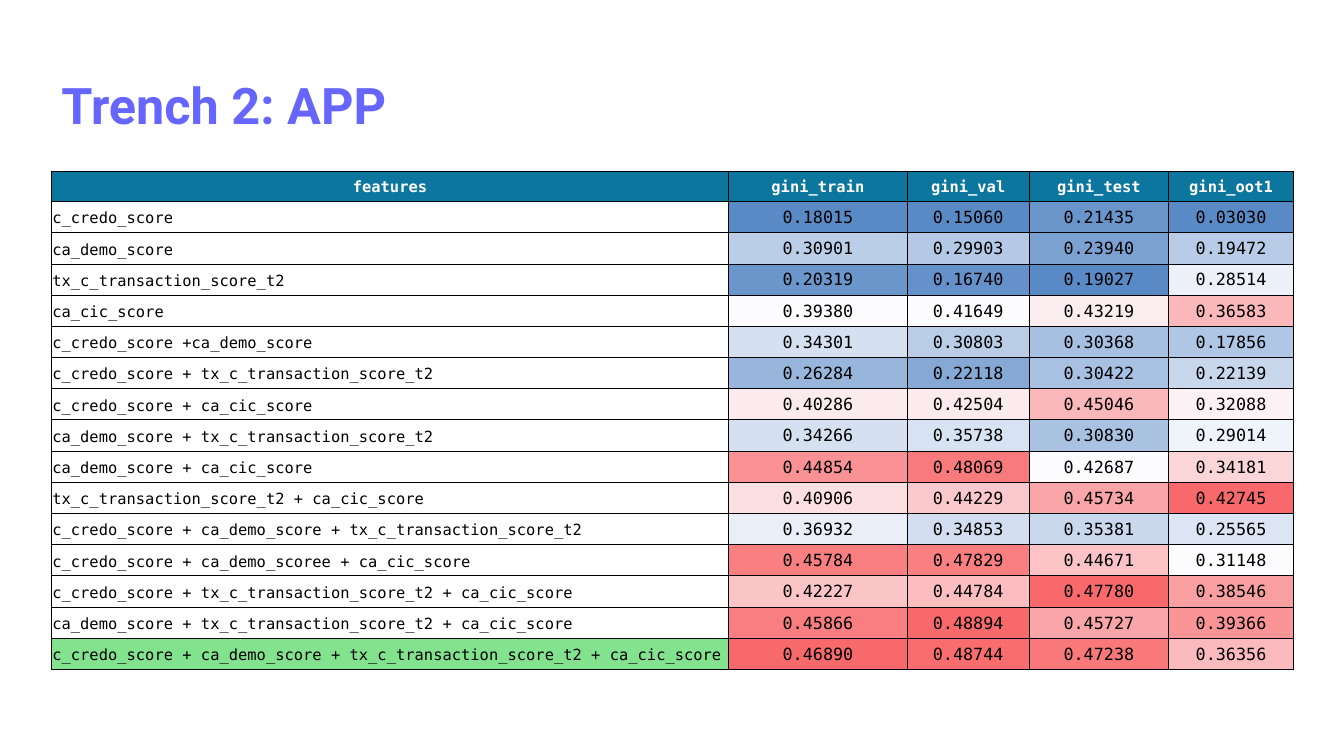
import dataclasses
import typing

import lxml.etree
import pptx
import pptx.dml.color
import pptx.enum.text
import pptx.oxml.ns
import pptx.util

Pt = pptx.util.Pt
ALIGN = pptx.enum.text.PP_ALIGN
ANCHOR = pptx.enum.text.MSO_ANCHOR
MONO = "DejaVu Sans Mono"
LOW, MIDDLE, HIGH = "5A8AC6", "FCFCFF", "F8696B"
HEADER_FILL, BEST_FILL = "0C769E", "83E28E"
WHITE, BLACK, VIOLET = "FFFFFF", "000000", "6666FF"
COLUMN_WIDTHS = (483.8, 127.6, 87.0, 99.8, 89.0)
HEADER_HEIGHT, ROW_HEIGHT = 21.5, 22.3
HEADERS = ("features", "gini_train", "gini_val", "gini_test", "gini_oot1")


@dataclasses.dataclass(frozen=True)
class Model:
    features: str
    ginis: tuple[float, ...]


@dataclasses.dataclass(frozen=True)
class CellStyle:
    size: float
    color: str = BLACK
    bold: bool = False
    align: ALIGN = ALIGN.CENTER
    fill: typing.Optional[str] = None


MODELS = (
    Model("c_credo_score", (0.18015, 0.15060, 0.21435, 0.03030)),
    Model("ca_demo_score", (0.30901, 0.29903, 0.23940, 0.19472)),
    Model("tx_c_transaction_score_t2", (0.20319, 0.16740, 0.19027, 0.28514)),
    Model("ca_cic_score", (0.39380, 0.41649, 0.43219, 0.36583)),
    Model("c_credo_score +ca_demo_score", (0.34301, 0.30803, 0.30368, 0.17856)),
    Model("c_credo_score + tx_c_transaction_score_t2",
          (0.26284, 0.22118, 0.30422, 0.22139)),
    Model("c_credo_score + ca_cic_score", (0.40286, 0.42504, 0.45046, 0.32088)),
    Model("ca_demo_score + tx_c_transaction_score_t2",
          (0.34266, 0.35738, 0.30830, 0.29014)),
    Model("ca_demo_score + ca_cic_score", (0.44854, 0.48069, 0.42687, 0.34181)),
    Model("tx_c_transaction_score_t2 + ca_cic_score",
          (0.40906, 0.44229, 0.45734, 0.42745)),
    Model("c_credo_score + ca_demo_score + tx_c_transaction_score_t2",
          (0.36932, 0.34853, 0.35381, 0.25565)),
    Model("c_credo_score + ca_demo_scoree + ca_cic_score",
          (0.45784, 0.47829, 0.44671, 0.31148)),
    Model("c_credo_score + tx_c_transaction_score_t2 + ca_cic_score",
          (0.42227, 0.44784, 0.47780, 0.38546)),
    Model("ca_demo_score + tx_c_transaction_score_t2 + ca_cic_score",
          (0.45866, 0.48894, 0.45727, 0.39366)),
    Model("c_credo_score + ca_demo_score + tx_c_transaction_score_t2 + ca_cic_score",
          (0.46890, 0.48744, 0.47238, 0.36356)),
)


def rgb(color: str) -> pptx.dml.color.RGBColor:
    return pptx.dml.color.RGBColor.from_string(color)


def blend(start: str, end: str, share: float) -> str:
    pairs = zip(bytes.fromhex(start), bytes.fromhex(end))
    return "".join(f"{a + int((b - a) * share):02X}" for a, b in pairs)


def heat(value: float, column: typing.Sequence[float]) -> str:
    ranked = sorted(column)
    low, middle, high = ranked[0], ranked[len(ranked) // 2], ranked[-1]
    if value <= middle:
        return blend(LOW, MIDDLE, (value - low) / (middle - low))
    return blend(MIDDLE, HIGH, (value - middle) / (high - middle))


def format_run(r, font: str, size: float, color: str, bold: bool) -> None:
    r.font.name = font
    r.font.size = Pt(size)
    r.font.bold = bold
    r.font.color.rgb = rgb(color)


def add_borders(cell) -> None:
    qn = pptx.oxml.ns.qn
    tc_pr = cell._tc.get_or_add_tcPr()
    for side in ("a:lnL", "a:lnR", "a:lnT", "a:lnB"):
        ln = lxml.etree.SubElement(tc_pr, qn(side), w=str(Pt(0.5)))
        fill = lxml.etree.SubElement(ln, qn("a:solidFill"))
        lxml.etree.SubElement(fill, qn("a:srgbClr"), val=BLACK)


def fill_cell(cell, text: str, style: CellStyle) -> None:
    cell.margin_left = cell.margin_top = cell.margin_right = Pt(0.7)
    cell.margin_bottom = Pt(3.6)
    cell.vertical_anchor = ANCHOR.BOTTOM
    add_borders(cell)
    if style.fill:
        cell.fill.solid()
        cell.fill.fore_color.rgb = rgb(style.fill)
    else:
        cell.fill.background()
    p = cell.text_frame.paragraphs[0]
    p.text = text
    p.alignment = style.align
    format_run(p.runs[0], MONO, style.size, style.color, style.bold)


def add_title(s, text: str) -> None:
    sp = s.shapes.title
    sp.left, sp.top, sp.width, sp.height = Pt(36.7), Pt(49), Pt(601.2), Pt(51.1)
    tf = sp.text_frame
    tf.text = text
    tf.word_wrap = True
    tf.auto_size = pptx.enum.text.MSO_AUTO_SIZE.SHAPE_TO_FIT_TEXT
    tf.vertical_anchor = ANCHOR.TOP
    p = tf.paragraphs[0]
    p.alignment = ALIGN.LEFT
    format_run(p.runs[0], "Roboto", 36, VIOLET, True)


def add_gini_table(s, models: typing.Sequence[Model]) -> None:
    height = HEADER_HEIGHT + ROW_HEIGHT * len(models)
    table = s.shapes.add_table(
        len(models) + 1, len(HEADERS), Pt(36.7), Pt(122.4),
        Pt(sum(COLUMN_WIDTHS)), Pt(height)).table
    table.horz_banding = False
    for column, width in zip(table.columns, COLUMN_WIDTHS):
        column.width = Pt(width)
    for i, row in enumerate(table.rows):
        row.height = Pt(ROW_HEIGHT if i else HEADER_HEIGHT)

    header = CellStyle(11, WHITE, True, fill=HEADER_FILL)
    for col, text in enumerate(HEADERS):
        fill_cell(table.cell(0, col), text, header)

    gini_columns = list(zip(*(model.ginis for model in models)))
    for row, model in enumerate(models, 1):
        fill = BEST_FILL if row == len(models) else None
        label = CellStyle(11, align=ALIGN.LEFT, fill=fill)
        fill_cell(table.cell(row, 0), model.features, label)
        for col, (gini, column) in enumerate(zip(model.ginis, gini_columns), 1):
            style = CellStyle(12, fill=heat(gini, column))
            fill_cell(table.cell(row, col), f"{gini:.5f}", style)


def main() -> None:
    prs = pptx.Presentation()
    prs.slide_width, prs.slide_height = Pt(960), Pt(540)
    s = prs.slides.add_slide(prs.slide_layouts[5])
    add_title(s, "Trench 2: APP")
    add_gini_table(s, MODELS)
    prs.save("out.pptx")


if __name__ == "__main__":
    main()
